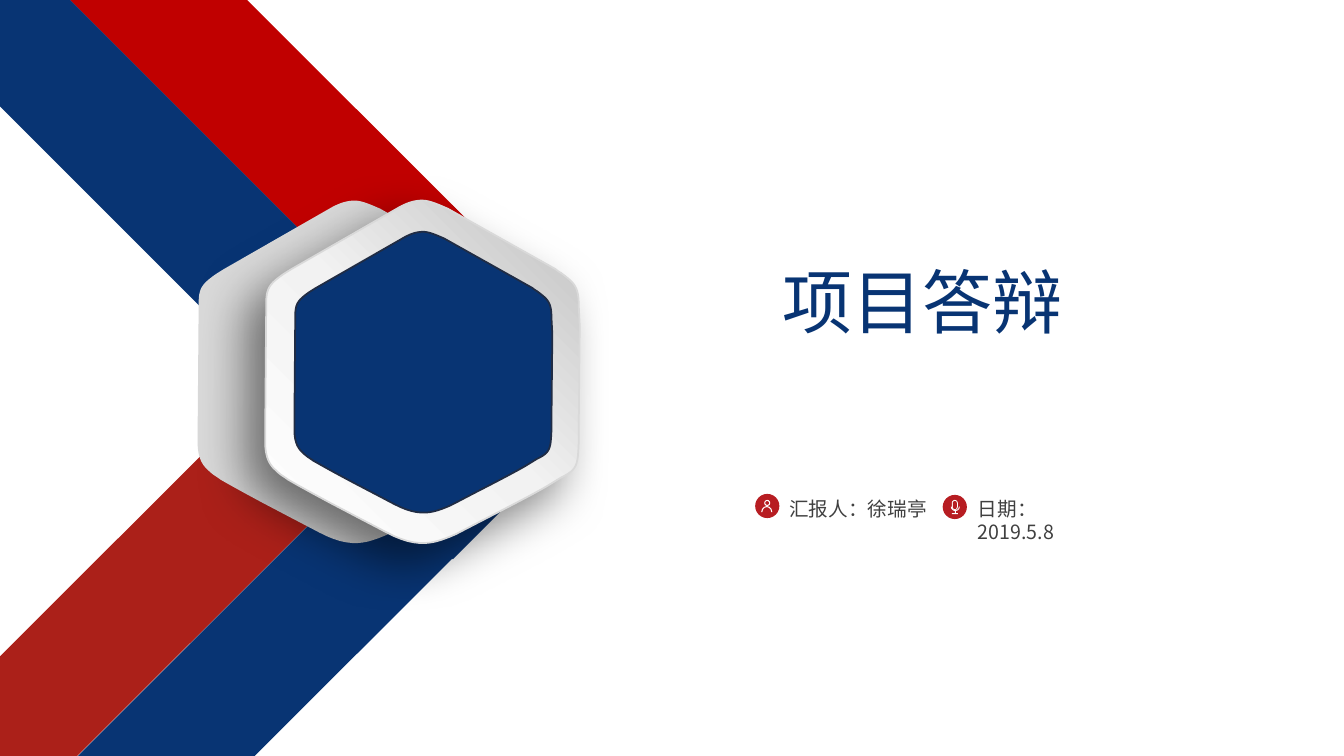
import pptx
import pptx.util
import pptx.dml.color
import pptx.enum.shapes
import pptx.enum.text
import pptx.oxml
import pptx.oxml.ns

PX = 9144
FONT = "Noto Sans CJK SC"
COLORS = {
    "blue": "083473", "red": "C00000", "brick": "AB2019", "badge": "B71D22",
    "white": "FFFFFF", "silver": "D9D9D9", "edge": "202C44", "text": "404040",
}
SHAPES = pptx.enum.shapes.MSO_SHAPE
ALIGN = pptx.enum.text.PP_ALIGN

presentation = pptx.Presentation()
presentation.slide_width = 1333 * PX
presentation.slide_height = 750 * PX
slide = presentation.slides.add_slide(presentation.slide_layouts[6])


def paint(shape, fill, line=None):
    shape.shadow.inherit = False
    shape.fill.solid()
    shape.fill.fore_color.rgb = pptx.dml.color.RGBColor.from_string(COLORS[fill])
    if line:
        shape.line.color.rgb = pptx.dml.color.RGBColor.from_string(COLORS[line])
        shape.line.width = pptx.util.Pt(1.25)
    else:
        shape.line.fill.background()


def add_preset(kind, left, top, width, height, fill, rotation=0):
    shape = slide.shapes.add_shape(kind, left * PX, top * PX, width * PX, height * PX)
    shape.rotation = rotation
    paint(shape, fill)
    return shape


for left, top, length, rotation, fill in [
    (167, 138, 744, 45, "brick"),
    (256, 227, 740, 45, "blue"),
    (163, -136, 758, 135, "blue"),
    (250, -225, 759, 135, "red"),
]:
    add_preset(SHAPES.RECTANGLE, left, top, 124, length, fill, rotation)
add_preset(SHAPES.RECTANGLE, 394, 245, 246, 243, "white")

hexagon_start = (156, 0)
hexagon_segments = [
    (164, 0, 176, 6, 181, 8), (288, 68), (290, 70, 294, 72, 295, 73),
    (307, 82, 311, 86, 311, 104), (312, 124), (311, 228), (311, 240),
    (310, 262, 310, 267, 293, 275), (280, 283),
    (263, 293, 235, 307, 189, 331), (168, 340, 152, 346, 120, 329),
    (86, 311, 58, 297, 23, 277), (16, 272, 15, 272, 10, 267),
    (3, 261, 0, 252, 0, 239), (0, 232), (1, 111), (1, 103),
    (1, 87, 4, 83, 18, 73), (26, 68), (129, 9), (139, 3, 147, 0, 156, 0),
]
hexagon_points = [hexagon_start]
for segment in hexagon_segments:
    if len(segment) == 2:
        hexagon_points.append(segment)
        continue
    x0, y0 = hexagon_points[-1]
    x1, y1, x2, y2, x3, y3 = segment
    for step in range(1, 13):
        t = step / 12
        a, b, c, d = (1 - t) ** 3, 3 * t * (1 - t) ** 2, 3 * t * t * (1 - t), t ** 3
        hexagon_points.append((a * x0 + b * x1 + c * x2 + d * x3,
                               a * y0 + b * y1 + c * y2 + d * y3))

hexagons = []
for left, top, scale, fill, line in [
    (196, 199, 1, "silver", None),
    (263, 199, 1, "white", "silver"),
    (292, 230, 0.82, "blue", "edge"),
]:
    points = [((left + x * scale) * PX, (top + y * scale) * PX) for x, y in hexagon_points]
    builder = slide.shapes.build_freeform(*points[0])
    builder.add_line_segments(points[1:])
    hexagon = builder.convert_to_shape()
    paint(hexagon, fill, line)
    hexagons.append(hexagon)

ring = hexagons[1]
ring.fill.gradient()
ring.fill.gradient_angle = 45
namespace = pptx.oxml.ns.nsdecls("a")
stop_list = ring._element.spPr.find(".//" + pptx.oxml.ns.qn("a:gsLst"))
for stop in list(stop_list):
    stop_list.remove(stop)
for position, color in [(0, "FFFFFF"), (50, "F2F2F2"), (100, "BFBFBF")]:
    stop_list.append(pptx.oxml.parse_xml(
        f'<a:gs {namespace} pos="{position * 1000}"><a:srgbClr val="{color}"/></a:gs>'))
effects = ring._element.spPr.find(pptx.oxml.ns.qn("a:effectLst"))
effects.append(pptx.oxml.parse_xml(
    f'<a:outerShdw {namespace} blurRad="{pptx.util.Pt(35)}" dist="{pptx.util.Pt(20)}" '
    f'dir="{135 * 60000}" algn="ctr" rotWithShape="0">'
    '<a:srgbClr val="000000"><a:alpha val="50000"/></a:srgbClr></a:outerShdw>'))

add_preset(SHAPES.OVAL, 749, 490, 24, 24, "badge")
person_head = add_preset(SHAPES.DONUT, 758, 496, 6, 6, "white")
person_head.adjustments[0] = 0.17
person_body = add_preset(SHAPES.BLOCK_ARC, 755, 502, 11, 12, "white")
person_body.adjustments[2] = 0.1

add_preset(SHAPES.OVAL, 935, 491, 24, 24, "badge")
for left, top, width, height, fill in [(944, 496, 6, 10, "white"), (945, 497, 4, 8, "badge")]:
    microphone = add_preset(SHAPES.ROUNDED_RECTANGLE, left, top, width, height, fill)
    microphone.adjustments[0] = 0.5
microphone_holder = add_preset(SHAPES.BLOCK_ARC, 943, 498, 9, 9, "white", 180)
microphone_holder.adjustments[2] = 0.1
add_preset(SHAPES.RECTANGLE, 947, 507, 1, 2, "white")
add_preset(SHAPES.RECTANGLE, 944, 509, 6, 1, "white")

for text, left, top, width, height, size, color, alignment in [
    ("项目答辩", 413, 252, 1004, 94, 50, "blue", ALIGN.CENTER),
    ("日期：2019.5.8", 960, 488, 147, 34, 14, "text", ALIGN.LEFT),
    ("汇报人：徐瑞亭", 773, 488, 160, 34, 14, "text", ALIGN.LEFT),
]:
    box = slide.shapes.add_textbox(left * PX, top * PX, width * PX, height * PX)
    frame = box.text_frame
    frame.word_wrap = True
    frame.auto_size = pptx.enum.text.MSO_AUTO_SIZE.SHAPE_TO_FIT_TEXT
    frame.text = text
    paragraph = frame.paragraphs[0]
    paragraph.alignment = alignment
    run = paragraph.runs[0]
    run.font.size = pptx.util.Pt(size)
    run.font.color.rgb = pptx.dml.color.RGBColor.from_string(COLORS[color])
    run.font.name = FONT
    run.font._element.append(pptx.oxml.parse_xml(f'<a:ea {namespace} typeface="{FONT}"/>'))

presentation.save("out.pptx")
